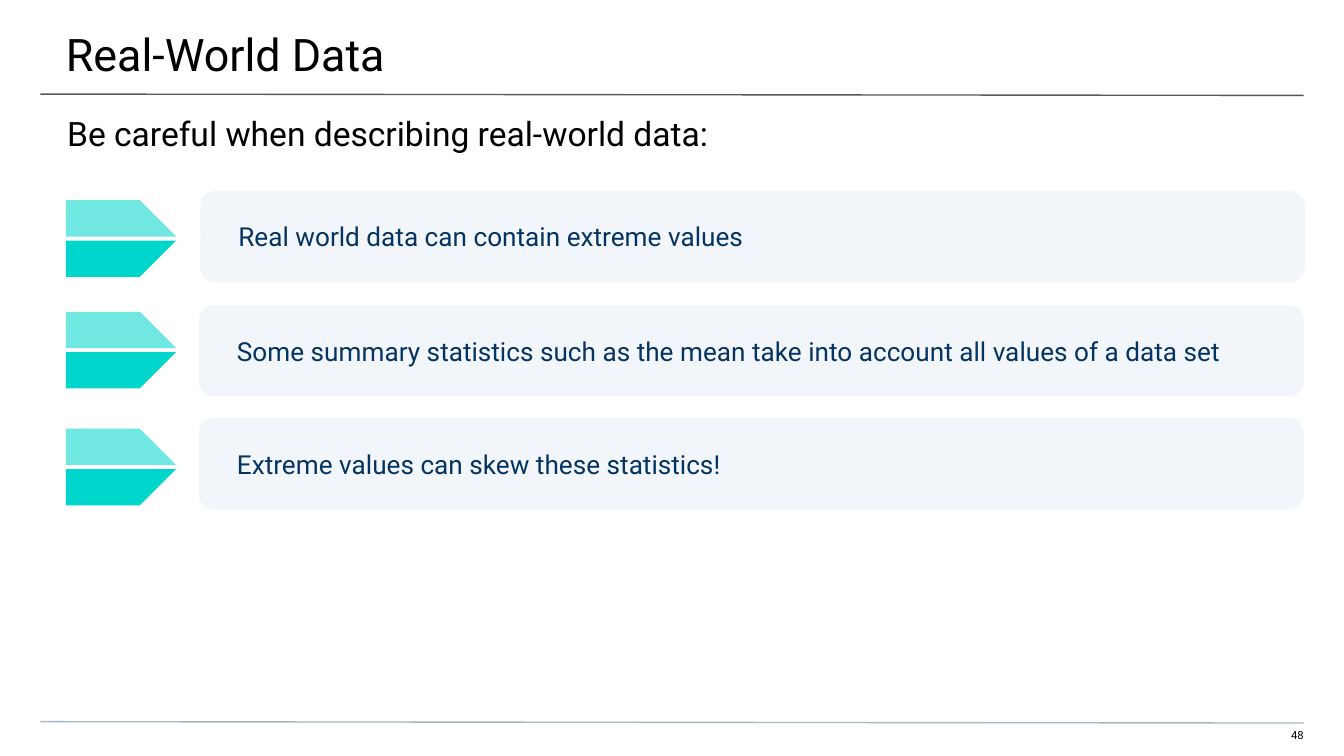
from typing import NamedTuple

from lxml.etree import SubElement
from pptx import Presentation
from pptx.dml.color import RGBColor
from pptx.enum.shapes import MSO_CONNECTOR, MSO_SHAPE
from pptx.enum.text import MSO_ANCHOR, MSO_AUTO_SIZE, PP_ALIGN
from pptx.oxml.ns import qn
from pptx.util import Inches, Pt

FONT = "Roboto"
BLACK, NAVY, PANEL, TEAL = "000000", "043461", "F2F5F9", "00D6CB"
ARROW_LEFT, ARROW_SHOULDER, ARROW_TIP = 0.49, 1.04, 1.31
HALF_HEIGHT, HALF_PITCH = 0.27, 0.3


class Point(NamedTuple):
    text: str
    panel_left: float
    panel_top: float
    arrow_top: float


class Rule(NamedTuple):
    top: float
    color: str


POINTS = [
    Point("Real world data can contain extreme values", 1.49, 1.42, 1.49),
    Point("Some summary statistics such as the mean take into account "
          "all values of a data set", 1.48, 2.27, 2.32),
    Point("Extreme values can skew these statistics!", 1.48, 3.11, 3.19),
]
RULES = [Rule(0.7, "595959"), Rule(5.37, "A9B7C0")]


def rgb(color: str) -> RGBColor:
    return RGBColor.from_string(color)


def place(sp, left: float, top: float, width: float, height: float) -> None:
    sp.left, sp.top = Inches(left), Inches(top)
    sp.width, sp.height = Inches(width), Inches(height)


def set_text(sp, text: str, size: int, color: str, insets: tuple,
             anchor=MSO_ANCHOR.TOP, align=PP_ALIGN.LEFT) -> None:
    """Fill a shape with one paragraph; insets run left, top, right, bottom."""
    tf = sp.text_frame
    tf.text = text
    tf.word_wrap = True
    tf.auto_size = MSO_AUTO_SIZE.NONE
    tf.vertical_anchor = anchor
    (tf.margin_left, tf.margin_top,
     tf.margin_right, tf.margin_bottom) = map(Inches, insets)
    p = tf.paragraphs[0]
    p.alignment = align
    font = p.runs[0].font
    font.name, font.size = FONT, Pt(size)
    font.color.rgb = rgb(color)


def paint(sp, color: str, opacity: int = 100) -> None:
    """Give a shape a flat fill with no line or shadow; opacity in percent."""
    sp.shadow.inherit = False
    sp.line.fill.background()
    sp.fill.solid()
    sp.fill.fore_color.rgb = rgb(color)
    if opacity < 100:
        clr = sp._element.spPr.find(qn("a:solidFill"))[0]
        SubElement(clr, qn("a:alpha")).set("val", str(opacity * 1000))


def add_rule(slide, rule: Rule) -> None:
    line = slide.shapes.add_connector(
        MSO_CONNECTOR.STRAIGHT, Inches(0.3), Inches(rule.top),
        Inches(9.7), Inches(rule.top + 0.01))
    line.line.color.rgb = rgb(rule.color)
    line.line.width = Pt(0.75)
    SubElement(line._element.spPr, qn("a:effectLst"))


def add_arrow_half(slide, outer: float, inner: float, opacity: int) -> None:
    """Draw half an arrow, with its short edge at outer and its tip at inner."""
    corners = [(ARROW_LEFT, outer), (ARROW_LEFT, inner),
               (ARROW_TIP, inner), (ARROW_SHOULDER, outer)]
    pts = [(Inches(x), Inches(y)) for x, y in corners]
    builder = slide.shapes.build_freeform(*pts[0], scale=1.0)
    builder.add_line_segments(pts[1:], close=True)
    paint(builder.convert_to_shape(), TEAL, opacity)


def add_point(slide, point: Point) -> None:
    panel = slide.shapes.add_shape(
        MSO_SHAPE.ROUNDED_RECTANGLE, Inches(point.panel_left),
        Inches(point.panel_top), Inches(8.22), Inches(0.68))
    paint(panel, PANEL)
    set_text(panel, point.text, 14, NAVY, (0.25, 0.1, 0.1, 0.1),
             MSO_ANCHOR.MIDDLE)
    top, lower = point.arrow_top, point.arrow_top + HALF_PITCH
    add_arrow_half(slide, top, top + HALF_HEIGHT, 56)
    add_arrow_half(slide, lower + HALF_HEIGHT, lower, 100)


def main() -> None:
    prs = Presentation()
    prs.slide_width, prs.slide_height = Inches(10), Inches(10 * 9 / 16)
    slide = prs.slides.add_slide(prs.slide_layouts[5])

    title = slide.shapes.title
    place(title, -0.01, 0, 10.03, 0.58)
    set_text(title, "Real-World Data", 24, BLACK, (0.5, 0.2, 0.3, 0.1))

    subtitle = slide.shapes.add_textbox(0, 0, 0, 0)
    place(subtitle, 0, 0.74, 10, 0.4)
    set_text(subtitle, "Be careful when describing real-world data:", 18,
             BLACK, (0.5, 0.1, 0.5, 0))

    number = slide.shapes.add_textbox(0, 0, 0, 0)
    place(number, 9.41, 5.42, 0.29, 0.12)
    set_text(number, "48", 6, BLACK, (0, 0, 0, 0.1), align=PP_ALIGN.RIGHT)

    for rule in RULES:
        add_rule(slide, rule)
    for point in POINTS:
        add_point(slide, point)

    prs.save("out.pptx")


if __name__ == "__main__":
    main()
